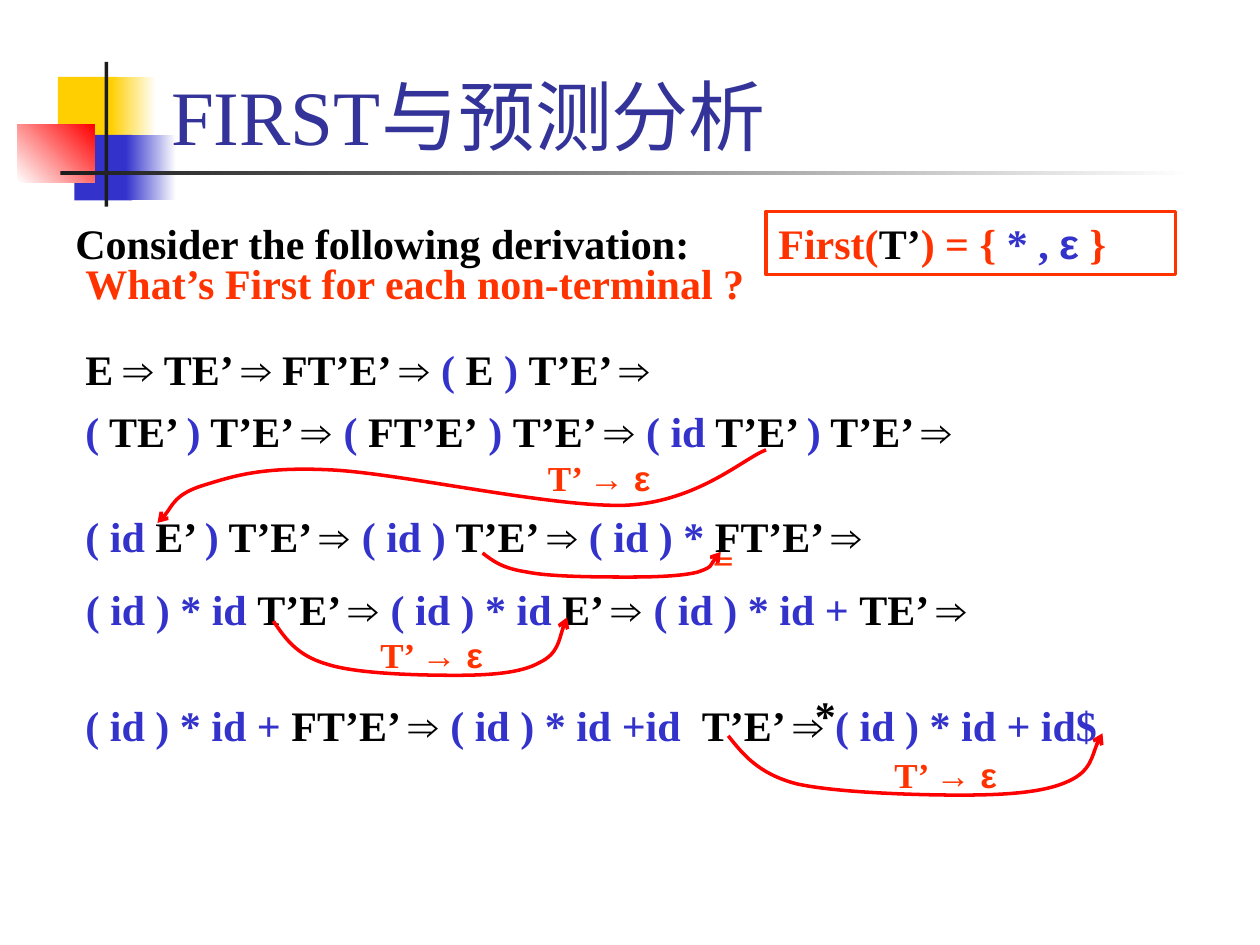
from typing import NamedTuple, Optional

from lxml import etree
from pptx import Presentation
from pptx.dml.color import RGBColor
from pptx.enum import shapes, text
from pptx.oxml import ns
from pptx.util import Inches, Pt

BLACK = RGBColor(0, 0, 0)
WHITE = RGBColor(0xFF, 0xFF, 0xFF)
CHARCOAL = RGBColor(0x1C, 0x1C, 0x1C)
YELLOW = RGBColor(0xFF, 0xCF, 0x01)
BLUE = RGBColor(0x33, 0x33, 0xCC)
NAVY = RGBColor(0x33, 0x33, 0x99)
RED = RGBColor(0xFF, 0, 0)
ORANGE = RGBColor(0xFF, 0x33, 0)
SERIF, SANS = "Times New Roman", "Arial"


class Box(NamedTuple):
    left: float
    top: float
    width: float
    height: float

    def emu(self) -> list:
        return [Inches(length) for length in self]


class Bar(NamedTuple):
    box: Box
    start: RGBColor
    end: Optional[RGBColor] = None
    angle: float = 0


class Run(NamedTuple):
    words: str
    color: RGBColor = BLACK
    font: str = SERIF
    baseline: int = 0


class Line(NamedTuple):
    box: Box
    runs: list
    size: float = 24
    spacing: float = 1.0
    bold: bool = True


def terminal(words: str) -> Run:
    return Run(words, BLUE)


def accent(words: str, font: str = SERIF) -> Run:
    return Run(words, ORANGE, font)


STEP = Run("⇒ ", font=SANS)
LAST_STEP = Run("⇒", font=SANS)

BARS = [
    Bar(Box(0.46, 0.61, 0.48, 0.52), YELLOW),
    Bar(Box(0.88, 0.61, 0.36, 0.52), YELLOW, WHITE),
    Bar(Box(0.59, 1.07, 0.46, 0.52), BLUE),
    Bar(Box(1, 1.07, 0.4, 0.52), BLUE, WHITE),
    Bar(Box(0.14, 0.99, 0.61, 0.46), WHITE, RED, 45),
    Bar(Box(0.83, 0.49, 0.03, 1.15), CHARCOAL),
    Bar(Box(0.48, 1.36, 9, 0.03), CHARCOAL, WHITE),
]

TITLE = Line(Box(1.26, 0.08, 8.52, 1.25), [Run("FIRST与预测分析", NAVY)], 44, bold=False)

LINES = [
    Line(Box(0.5, 1.68, 6.42, 0.5), [Run("Consider the following derivation:")]),
    Line(Box(0.58, 2.1, 6.2, 0.38), [accent("What’s First for each non-terminal ?")],
         spacing=0.7),
    Line(Box(0.58, 2.68, 7.96, 0.5), [
        Run("E "), LAST_STEP, Run(" TE’ "), LAST_STEP, Run(" FT’E’ "), STEP,
        terminal("( "), Run("E"), terminal(" ) "), Run("T’E’ "), LAST_STEP]),
    Line(Box(0.58, 3.17, 8.42, 0.5), [
        terminal("("), Run(" TE’ "), terminal(")"), Run(" T’E’ "), STEP,
        terminal("( "), Run("FT’E’"), terminal(" ) "), Run("T’E’ "), STEP,
        terminal("( id"), Run(" T’E’ "), terminal(")"), Run(" T’E’ "), LAST_STEP]),
    Line(Box(0.58, 4, 7.96, 0.5), [
        terminal("( id"), Run(" E’ "), terminal(")"), Run(" T’E’ "), STEP,
        terminal("( id )"), Run(" T’E’ "), STEP,
        terminal("( id ) *"), Run(" FT’E’ "), LAST_STEP]),
    Line(Box(0.5, 4.58, 8.07, 0.5), [
        Run(" "), terminal("( id ) * id "), Run("T’E’ "), STEP,
        terminal("( id ) * id "), Run("E’ "), STEP,
        terminal("( id ) * id + "), Run("TE’ "), LAST_STEP]),
    Line(Box(0.58, 5.5, 9.21, 0.5), [
        terminal("( id ) * id + "), Run("FT’E’ "), STEP,
        terminal("( id ) * id +id  "), Run("T’E’ "), STEP,
        terminal("( id ) * id + id$")]),
    Line(Box(6.37, 5.42, 0.8, 0.5), [Run("*")]),
    Line(Box(5.55, 4.07, 0.45, 0.56), [Run("＝", ORANGE, baseline=-25000)]),
]

FIRST_SET = Line(Box(6.08, 1.68, 3.25, 0.5), [
    accent("First("), Run("T’"), accent(") = { "), terminal("* , "),
    Run("ε", BLUE, SANS), accent(" }")])

EPSILON_RULES = [
    Line(Box(left, top, 1.42, 0.44), [accent("T’ "), accent("→ ε", SANS)], 20)
    for left, top in [(4.25, 3.57), (2.92, 4.98), (7, 5.93)]
]

# Each arrow: a start point, then three Bézier points per segment.
ARROWS = [
    [(3.83, 4.39), (3.91, 4.45), (3.98, 4.51), (4.18, 4.54), (4.37, 4.58), (4.78, 4.58),
     (5, 4.58), (5.23, 4.58), (5.43, 4.57), (5.54, 4.54), (5.66, 4.5), (5.68, 4.41),
     (5.72, 4.38)],
    [(6.08, 3.57), (5.9, 3.64), (5.54, 3.98), (4.97, 4.01), (4.39, 4.03), (3.2, 3.76),
     (2.64, 3.73), (2.08, 3.7), (1.85, 3.78), (1.62, 3.85), (1.39, 3.92), (1.33, 4.09),
     (1.25, 4.15)],
    [(2.17, 4.93), (2.26, 5.06), (2.35, 5.2), (2.59, 5.27), (2.83, 5.35), (3.33, 5.36),
     (3.62, 5.36), (3.9, 5.36), (4.14, 5.34), (4.28, 5.26), (4.43, 5.19), (4.46, 4.98),
     (4.5, 4.9)],
    [(5.78, 5.84), (5.9, 5.99), (6.02, 6.14), (6.32, 6.22), (6.63, 6.29), (7.27, 6.31),
     (7.62, 6.31), (7.98, 6.31), (8.29, 6.29), (8.48, 6.2), (8.66, 6.12), (8.69, 5.9),
     (8.75, 5.82)],
]


def draw_bar(slide, bar: Bar) -> None:
    block = slide.shapes.add_shape(shapes.MSO_SHAPE.RECTANGLE, *bar.box.emu())
    block.shadow.inherit = False
    block.line.fill.background()
    if bar.end is None:
        block.fill.solid()
        block.fill.fore_color.rgb = bar.start
        return
    block.fill.gradient()
    block.fill.gradient_angle = bar.angle
    for stop, color in zip(block.fill.gradient_stops, (bar.start, bar.end)):
        stop.color.rgb = color


def write(shape, line: Line) -> None:
    frame = shape.text_frame
    frame.word_wrap = True
    frame.vertical_anchor = text.MSO_ANCHOR.TOP
    paragraph = frame.paragraphs[0]
    paragraph.alignment = text.PP_ALIGN.LEFT
    paragraph.line_spacing = line.spacing
    paragraph.space_before = Pt(line.size * 0.625)
    for part in line.runs:
        run = paragraph.add_run()
        run.text = part.words
        run.font.name = part.font
        run.font.size = Pt(line.size)
        run.font.bold = line.bold
        run.font.color.rgb = part.color
        if part.baseline:
            run.font._element.set("baseline", str(part.baseline))


def draw_line(slide, line: Line) -> None:
    write(slide.shapes.add_textbox(*line.box.emu()), line)


def draw_title(slide, line: Line) -> None:
    heading = slide.shapes.add_textbox(*line.box.emu())
    write(heading, line)
    heading.text_frame.vertical_anchor = text.MSO_ANCHOR.BOTTOM
    heading.text_frame.paragraphs[0].space_before = Pt(0)


def draw_frame(slide, line: Line) -> None:
    frame = slide.shapes.add_shape(shapes.MSO_SHAPE.RECTANGLE, *line.box.emu())
    frame.shadow.inherit = False
    frame.fill.background()
    frame.line.color.rgb = ORANGE
    frame.line.width = Pt(2)
    write(frame, line)


def draw_arrow(slide, points: list) -> None:
    """Draw a curved arrow, joining each three points into one Bézier segment."""
    start, *controls = [(Inches(x), Inches(y)) for x, y in points]
    builder = slide.shapes.build_freeform(*start)
    builder.add_line_segments(controls, close=False)
    arrow = builder.convert_to_shape()
    arrow.shadow.inherit = False
    arrow.fill.background()
    arrow.line.color.rgb = RED
    arrow.line.width = Pt(2)
    etree.SubElement(arrow.line._get_or_add_ln(), ns.qn("a:tailEnd"), type="arrow")
    legs = list(arrow._element.iter(ns.qn("a:lnTo")))
    for first in range(0, len(legs), 3):
        curve = etree.SubElement(legs[first].getparent(), ns.qn("a:cubicBezTo"))
        for leg in legs[first:first + 3]:
            curve.append(leg[0])
            leg.getparent().remove(leg)


def main() -> None:
    deck = Presentation()
    deck.slide_width, deck.slide_height = Inches(10), Inches(7.5)
    slide = deck.slides.add_slide(deck.slide_layouts[6])
    for bar in BARS:
        draw_bar(slide, bar)
    draw_title(slide, TITLE)
    for line in LINES:
        draw_line(slide, line)
    draw_frame(slide, FIRST_SET)
    for points in ARROWS:
        draw_arrow(slide, points)
    for rule in EPSILON_RULES:
        draw_line(slide, rule)
    deck.save("out.pptx")


if __name__ == "__main__":
    main()
